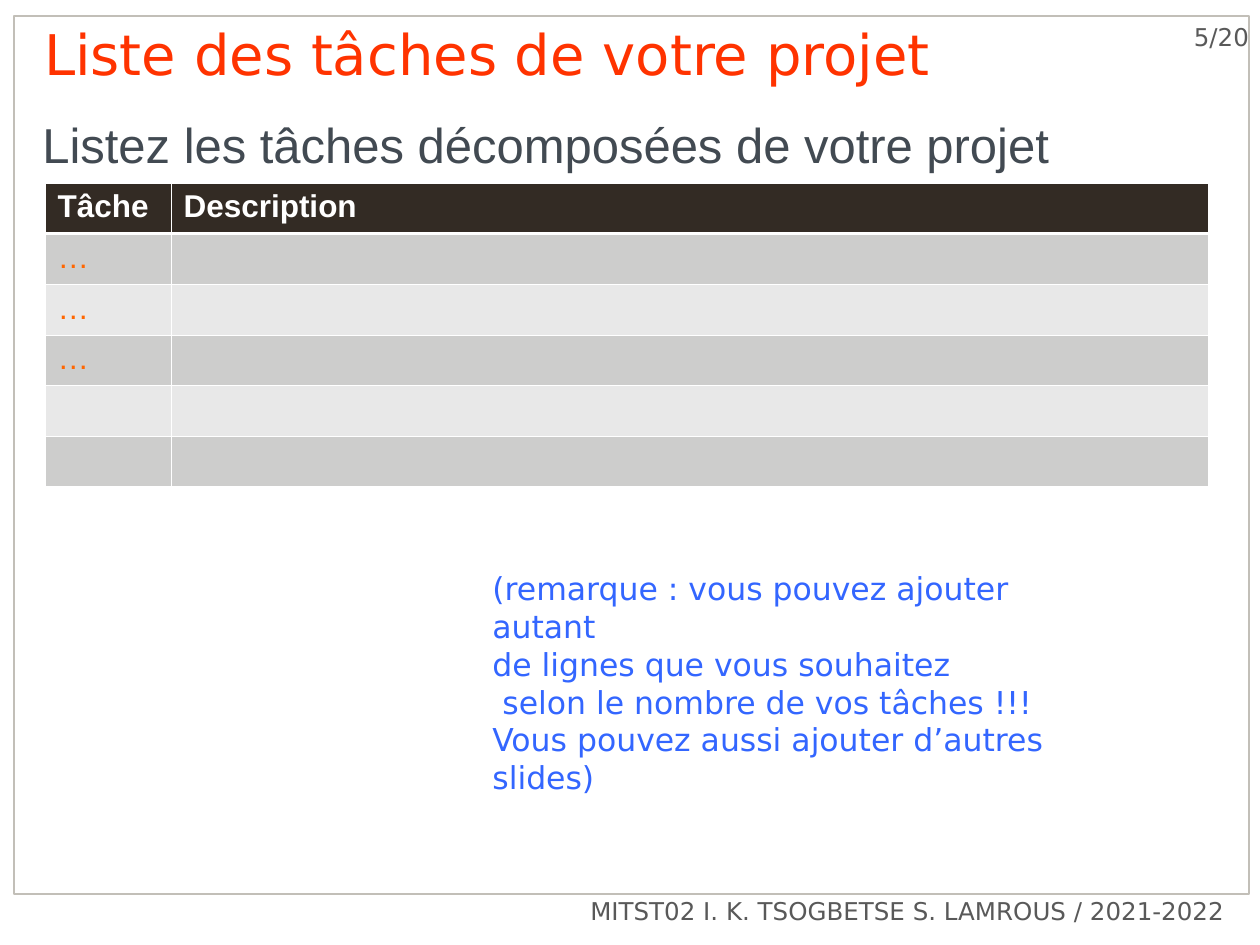
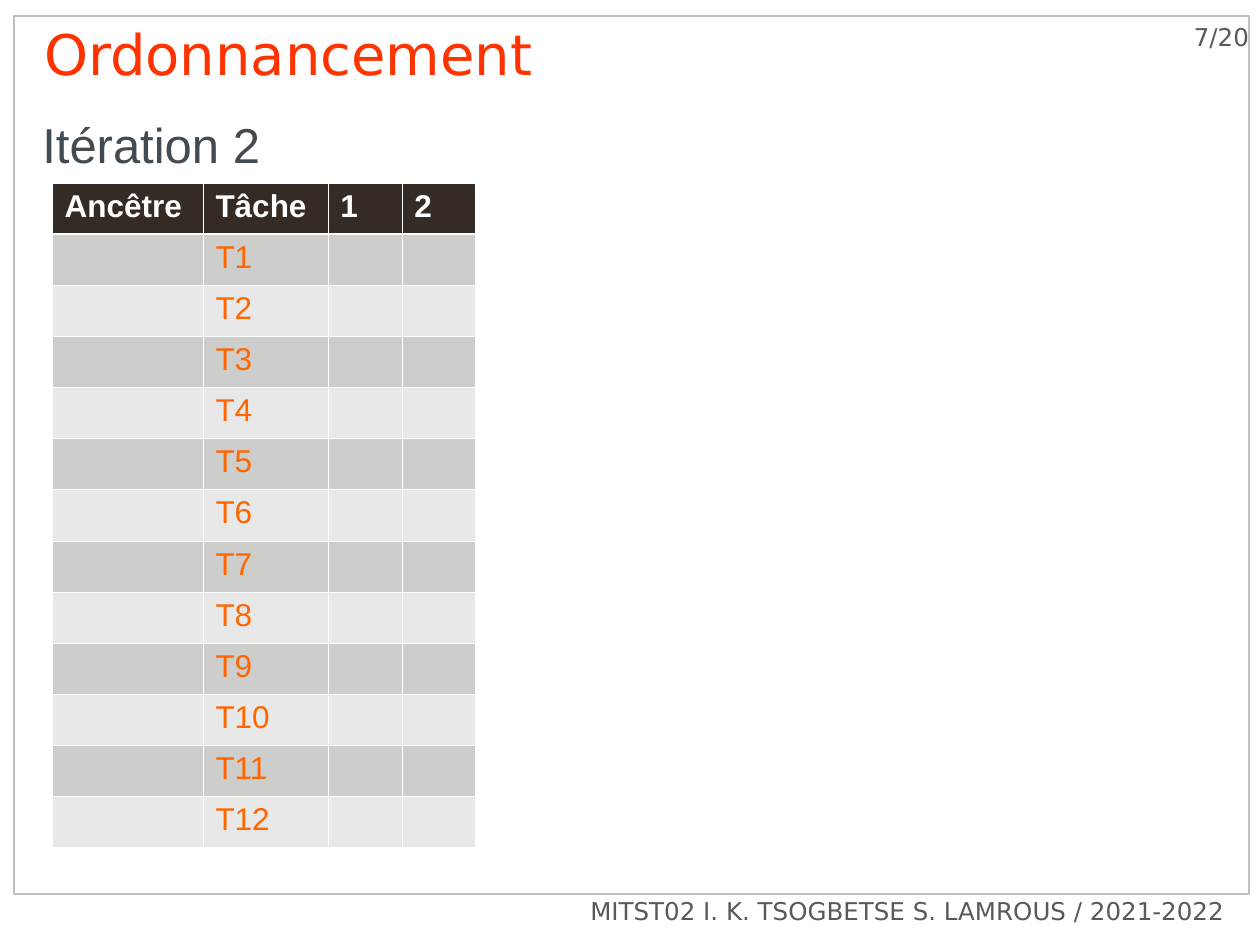
from dataclasses import dataclass
from itertools import pairwise

from lxml.etree import SubElement
from pptx import Presentation
from pptx.dml.color import RGBColor
from pptx.enum.shapes import MSO_SHAPE as Shape
from pptx.enum.text import MSO_ANCHOR as Anchor, MSO_AUTO_SIZE as AutoSize, PP_ALIGN as Align
from pptx.oxml.ns import qn
from pptx.util import Emu, Pt

EMU_PER_PX = 914400 / 126
TITLE_ONLY = 5
FOOTER = "MITST02 I. K. TSOGBETSE S. LAMROUS / 2021-2022"
PAGE_COUNT = 20


@dataclass(frozen=True)
class TextStyle:
    font: str
    size: int
    color: str
    bold: bool = False


@dataclass(frozen=True)
class Theme:
    title: TextStyle = TextStyle("DejaVu Sans", 32, "FF3300")
    subtitle: TextStyle = TextStyle("Arial", 28, "424A52")
    remark: TextStyle = TextStyle("DejaVu Sans", 18, "3366FF")
    small: TextStyle = TextStyle("DejaVu Sans", 14, "595959")
    header: TextStyle = TextStyle("Arial", 18, "FFFFFF", True)
    cell: TextStyle = TextStyle("Arial", 18, "FF6600")
    frame: str = "C2BFB8"
    header_fill: str = "332B24"
    band_fills: tuple[str, str] = ("CDCDCC", "E8E8E8")
    rule: str = "FFFFFF"
    frame_width: float = 1.5
    rule_width: float = 0.45
    header_rule_width: float = 1.47


THEME = Theme()


@dataclass(frozen=True)
class Box:
    left: int
    top: int
    width: int
    height: int

    def emu(self) -> tuple[Emu, Emu, Emu, Emu]:
        return px(self.left), px(self.top), px(self.width), px(self.height)


@dataclass(frozen=True)
class Line:
    text: str
    indent: int = 0


@dataclass(frozen=True)
class TaskTable:
    left: int
    height: int
    columns: tuple[int, ...]
    rows: list[tuple[str, ...]]
    top: int = 183


@dataclass(frozen=True)
class Page:
    number: int
    title: str
    subtitle: str
    table: TaskTable
    remark: tuple[Line, ...] = ()


FRAME = Box(14, 16, 1235, 878)
NUMBER = Box(1108, 16, 141, 76)
FOOTER_BOX = Box(365, 890, 872, 82 - 27)
TITLE = Box(44, 31, 1026, 73)
SUBTITLE = Box(30, 105, 1200, 78)
REMARK = Box(480, 563, 639, 240)

PAGES = (
    Page(
        5,
        "Liste des tâches de votre projet",
        "Listez les tâches décomposées de votre projet",
        TaskTable(
            45, 302, (126, 1037),
            [("Tâche", "Description")] + [("…", "")] * 3 + [("", "")] * 2,
        ),
        (
            Line("(remarque : vous pouvez ajouter autant"),
            Line("de lignes que vous souhaitez"),
            Line("selon le nombre de vos tâches !!!", 10),
            Line("Vous pouvez aussi ajouter d’autres slides)"),
        ),
    ),
    Page(
        7,
        "Ordonnancement",
        "Itération 2",
        TaskTable(
            52, 664, (151, 125, 74, 74),
            [("Ancêtre", "Tâche", "1", "2")]
            + [("", f"T{task}", "", "") for task in range(1, 13)],
        ),
    ),
)


def px(length: int) -> Emu:
    return Emu(round(length * EMU_PER_PX))


def add_span(para, text: str, style: TextStyle) -> None:
    span = para.add_run()
    span.text = text
    font = span.font
    font.name, font.size, font.bold = style.font, Pt(style.size), style.bold
    font.color.rgb = RGBColor.from_string(style.color)


def add_text(slide, box: Box, lines: tuple[Line, ...], style: TextStyle,
             align: Align = Align.LEFT, anchor: Anchor = Anchor.TOP):
    frame = slide.shapes.add_textbox(*box.emu()).text_frame
    frame.word_wrap = True
    frame.vertical_anchor = anchor
    for index, line in enumerate(lines):
        para = frame.add_paragraph() if index else frame.paragraphs[0]
        para.alignment = align
        if line.indent:
            para._p.get_or_add_pPr().set("marL", str(px(line.indent)))
        add_span(para, line.text, style)
    return frame


def set_title(slide, text: str) -> None:
    title = slide.shapes.title
    title.left, title.top, title.width, title.height = TITLE.emu()
    frame = title.text_frame
    frame.auto_size = AutoSize.NONE
    frame.vertical_anchor = Anchor.TOP
    frame.margin_left = frame.margin_top = 0
    para = frame.paragraphs[0]
    para.alignment = Align.LEFT
    para.line_spacing = Pt(THEME.title.size)
    add_span(para, text, THEME.title)


def add_furniture(slide, number: int) -> None:
    """Draw the frame, page number and footer found on every page."""
    frame = slide.shapes.add_shape(Shape.RECTANGLE, *FRAME.emu())
    frame.shadow.inherit = False
    frame.fill.background()
    frame.line.color.rgb = RGBColor.from_string(THEME.frame)
    frame.line.width = Pt(THEME.frame_width)
    counter = add_text(slide, NUMBER, (Line(f"{number}/{PAGE_COUNT}"),), THEME.small, Align.RIGHT)
    counter.margin_right = 0
    add_text(slide, FOOTER_BOX, (Line(FOOTER),), THEME.small, Align.RIGHT)


def set_borders(cell, row: int) -> None:
    """Rule all four sides, thicker between the header and the body."""
    thick_side = {0: "lnB", 1: "lnT"}.get(row)
    properties = cell._tc.get_or_add_tcPr()
    for side in ("lnL", "lnR", "lnT", "lnB"):
        width = THEME.header_rule_width if side == thick_side else THEME.rule_width
        border = SubElement(properties, qn(f"a:{side}"), w=str(Pt(width)))
        fill = SubElement(border, qn("a:solidFill"))
        SubElement(fill, qn("a:srgbClr"), val=THEME.rule)


def add_task_table(slide, spec: TaskTable) -> None:
    count = len(spec.rows)
    box = Box(spec.left, spec.top, sum(spec.columns), spec.height)
    table = slide.shapes.add_table(count, len(spec.columns), *box.emu()).table
    table.horz_banding = False
    for column, width in zip(table.columns, spec.columns):
        column.width = px(width)
    edges = [round(spec.height * index / count) for index in range(count + 1)]
    for row, (start, end) in zip(table.rows, pairwise(edges)):
        row.height = px(end - start)
    for row, texts in enumerate(spec.rows):
        style = THEME.cell if row else THEME.header
        color = THEME.band_fills[(row - 1) % 2] if row else THEME.header_fill
        for column, text in enumerate(texts):
            cell = table.cell(row, column)
            set_borders(cell, row)
            cell.fill.solid()
            cell.fill.fore_color.rgb = RGBColor.from_string(color)
            if text:
                add_span(cell.text_frame.paragraphs[0], text, style)


def add_page(deck, page: Page) -> None:
    slide = deck.slides.add_slide(deck.slide_layouts[TITLE_ONLY])
    add_furniture(slide, page.number)
    set_title(slide, page.title)
    add_text(slide, SUBTITLE, (Line(page.subtitle),), THEME.subtitle, anchor=Anchor.MIDDLE)
    add_task_table(slide, page.table)
    if page.remark:
        add_text(slide, REMARK, page.remark, THEME.remark)


def main() -> None:
    deck = Presentation()
    deck.slide_width, deck.slide_height = px(1260), px(945)
    for page in PAGES:
        add_page(deck, page)
    deck.save("out.pptx")


if __name__ == "__main__":
    main()
